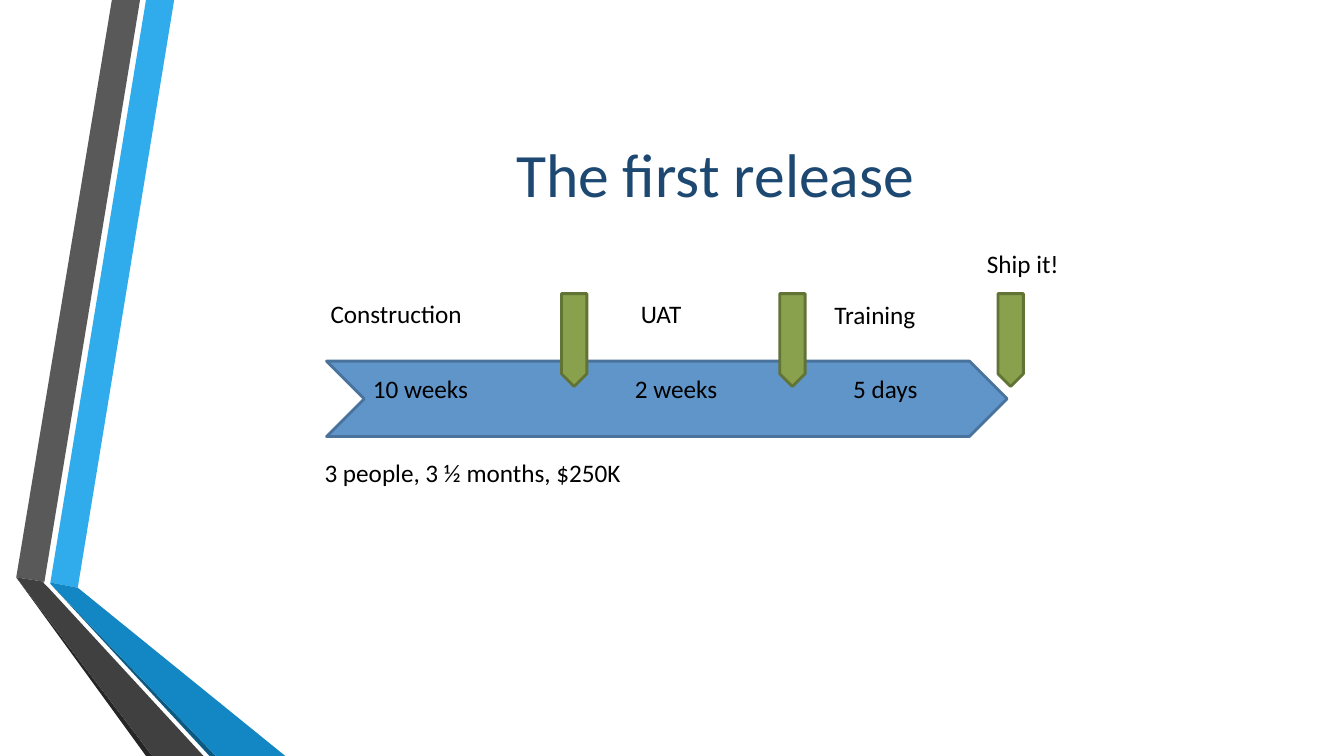
from pptx import Presentation
from pptx.dml.color import RGBColor
from pptx.enum.shapes import MSO_SHAPE
from pptx.enum.text import MSO_ANCHOR, PP_ALIGN
from pptx.util import Cm, Pt

BLACK = RGBColor(0x00, 0x00, 0x00)
NAVY = RGBColor(0x1D, 0x48, 0x71)
SKY = RGBColor(0x30, 0xAC, 0xEC)
BLUE = RGBColor(0x12, 0x87, 0xC3)
DEEP_BLUE = RGBColor(0x0C, 0x5A, 0x82)
GREY = RGBColor(0x59, 0x59, 0x59)
CHARCOAL = RGBColor(0x40, 0x40, 0x40)
SOOT = RGBColor(0x26, 0x26, 0x26)
STEEL = RGBColor(0x60, 0x95, 0xC9)
STEEL_EDGE = RGBColor(0x49, 0x72, 0x9C)
GREEN = RGBColor(0x89, 0xA1, 0x4D)
GREEN_EDGE = RGBColor(0x61, 0x73, 0x35)

RIBBONS = [
    (SKY, [(1.27, 14.68), (1.96, 14.81), (4.39, 0), (3.68, 0)]),
    (GREY, [(3.53, 0), (2.82, 0), (0.41, 14.55), (1.12, 14.66)]),
    (SOOT, [(0.41, 14.55), (3.68, 19.05), (3.84, 19.05)]),
    (DEEP_BLUE, [(1.27, 14.71), (5.28, 19.05), (5.44, 19.05)]),
    (BLUE, [(1.27, 14.71), (5.44, 19.05), (7.19, 19.05),
            (1.96, 14.81), (1.27, 14.68)]),
    (CHARCOAL, [(5.13, 19.05), (1.22, 14.81), (1.09, 14.68),
                (1.12, 14.66), (0.41, 14.55), (3.84, 19.05)]),
]

LABELS = [
    ("Ship it!", 24.77, 6.15, 2.06),
    ("Construction", 8.23, 7.42, 3.63),
    ("UAT", 16.05, 7.42, 1.37),
    ("Training", 20.93, 7.44, 2.36),
    ("10 weeks", 9.3, 9.32, 2.64),
    ("2 weeks", 15.9, 9.32, 2.31),
    ("5 days", 21.4, 9.32, 1.86),
    ("3 people, 3 ½ months, $250K", 8.08, 11.43, 7.82),
]

MARKER_W, MARKER_H = 2.34, 0.64
FIRST_MARKER, MARKER_STEP, MARKER_MIDDLE = 14.47, 5.5, 8.57


def add_ribbon(s, color, points):
    """Draw one flat, borderless piece of the folded ribbons."""
    corners = [(Cm(x), Cm(y)) for x, y in points]
    builder = s.shapes.build_freeform(*corners[0])
    builder.add_line_segments(corners[1:])
    sp = builder.convert_to_shape()
    sp.shadow.inherit = False
    sp.fill.solid()
    sp.fill.fore_color.rgb = color
    sp.line.fill.background()


def add_arrow(s, kind, x, y, w, h, fill, edge, rotation=0):
    """Draw an outlined block arrow with a half-height point."""
    sp = s.shapes.add_shape(kind, Cm(x), Cm(y), Cm(w), Cm(h))
    sp.adjustments[0] = 0.5
    sp.rotation = rotation
    sp.shadow.inherit = False
    sp.fill.solid()
    sp.fill.fore_color.rgb = fill
    sp.line.color.rgb = edge
    sp.line.width = Pt(2)


def add_text(s, text, x, y, w, h=0.99, size=18, color=BLACK,
             align=PP_ALIGN.LEFT, anchor=MSO_ANCHOR.TOP, wrap=False):
    """Place one line of text in a box with narrow margins."""
    tf = s.shapes.add_textbox(Cm(x), Cm(y), Cm(w), Cm(h)).text_frame
    tf.margin_left = tf.margin_right = Cm(0.1)
    tf.margin_top = tf.margin_bottom = Cm(0.1)
    tf.word_wrap = wrap
    tf.vertical_anchor = anchor
    p = tf.paragraphs[0]
    p.alignment = align
    r = p.add_run()
    r.text = text
    r.font.name = "Calibri"
    r.font.size = Pt(size)
    r.font.color.rgb = color


def main():
    """Build the release timeline slide."""
    prs = Presentation()
    prs.slide_width, prs.slide_height = Cm(33.87), Cm(19.05)
    s = prs.slides.add_slide(prs.slide_layouts[6])
    for color, points in RIBBONS:
        add_ribbon(s, color, points)
    add_text(s, "The first release", 4.11, 1.91, 27.84, 4.88, 44, NAVY,
             PP_ALIGN.CENTER, MSO_ANCHOR.MIDDLE, True)
    add_arrow(s, MSO_SHAPE.CHEVRON, 8.23, 9.1, 17.15, 1.9, STEEL, STEEL_EDGE)
    for i in range(3):
        center = FIRST_MARKER + i * MARKER_STEP
        add_arrow(s, MSO_SHAPE.PENTAGON, center - MARKER_W / 2,
                  MARKER_MIDDLE - MARKER_H / 2, MARKER_W, MARKER_H,
                  GREEN, GREEN_EDGE, 90)
    for label in LABELS:
        add_text(s, *label)
    prs.save("out.pptx")


if __name__ == "__main__":
    main()
